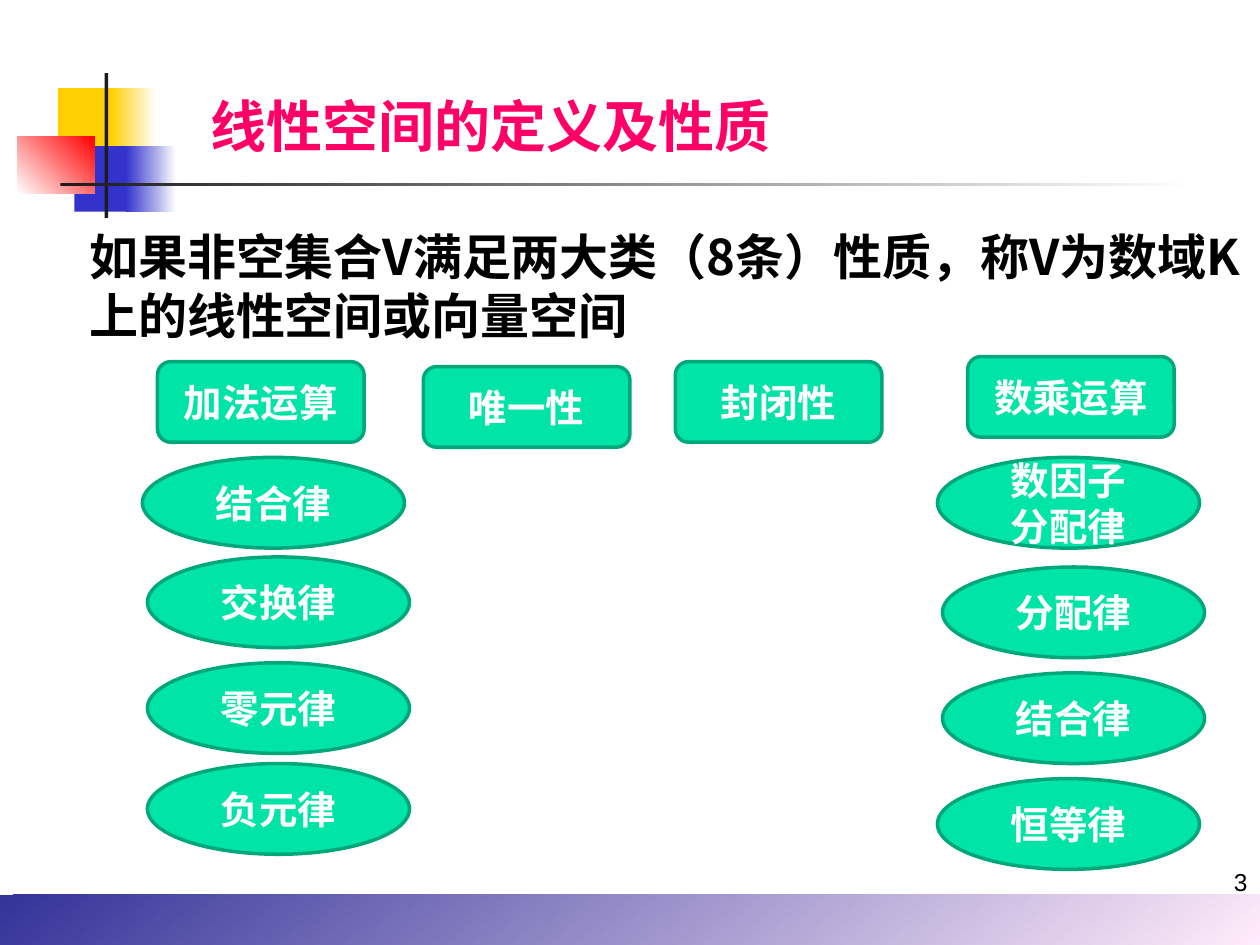
from lxml.etree import SubElement
from pptx import Presentation
from pptx.dml.color import RGBColor
from pptx.enum.shapes import MSO_SHAPE
from pptx.enum.text import MSO_ANCHOR, PP_ALIGN
from pptx.oxml.ns import qn
from pptx.util import Inches, Pt

COLORS = {
    "navy": "333399", "blush": "FFEBFA", "yellow": "FFCF01", "blue": "3333CC",
    "red": "FF0000", "ink": "1C1C1C", "white": "FFFFFF", "black": "000000",
    "pink": "FF0066", "mint": "00E4A8", "green": "00A77A",
}
CJK_FONT = "Noto Sans CJK SC"

DECORATIONS = [
    ((0, 7.1, 10, 0.4), ("navy", "blush"), 310),
    ((0.46, 0.7, 0.48, 0.52), ("yellow",), 0),
    ((0.88, 0.7, 0.36, 0.52), ("yellow", "white"), 0),
    ((0.59, 1.16, 0.46, 0.52), ("blue",), 0),
    ((1, 1.16, 0.4, 0.52), ("blue", "white"), 0),
    ((0.14, 1.08, 0.61, 0.46), ("white", "red"), 45),
    ((0.83, 0.58, 0.03, 1.15), ("ink",), 0),
    ((0.48, 1.45, 9, 0.03), ("ink", "white"), 0),
]

TEXTS = [
    ("3", (7.67, 6.83, 2.33, 0.52), PP_ALIGN.RIGHT, "black",
     {"size": Pt(14), "name": "Arial", "bold": False}),
    ("线性空间的定义及性质", (1.57, 0.68, 7.03, 0.64), PP_ALIGN.LEFT, "pink",
     {"size": Pt(32), "name": "Arial", "bold": True}),
    ("如果非空集合V满足两大类（8条）性质，称V为数域K上的线性空间或向量空间",
     (0.61, 1.75, 9.39, 1.04), PP_ALIGN.LEFT, "black",
     {"size": Pt(28), "name": CJK_FONT, "bold": True}),
]

HEADINGS = [
    ("加法运算", 1.25, 2.87),
    ("唯一性", 3.36, 2.91),
    ("封闭性", 5.36, 2.87),
    ("数乘运算", 7.68, 2.83),
]
LAWS = [
    ("结合律", 1.13, 3.63),
    ("交换律", 1.17, 4.42),
    ("零元律", 1.17, 5.26),
    ("负元律", 1.17, 6.06),
    ("数因子\n分配律", 7.44, 3.63),
    ("分配律", 7.48, 4.5),
    ("结合律", 7.48, 5.34),
    ("恒等律", 7.44, 6.18),
]
NODE_GROUPS = [
    (HEADINGS, MSO_SHAPE.ROUNDED_RECTANGLE, (1.64, 0.64)),
    (LAWS, MSO_SHAPE.OVAL, (2.08, 0.72)),
]
NODE_FONT = {"size": Pt(22), "name": "Arial", "bold": True}


def rgb(color):
    return RGBColor.from_string(COLORS[color])


def write(frame, text, align, color, font_values):
    frame.word_wrap = True
    frame.text = text
    for paragraph in frame.paragraphs:
        paragraph.alignment = align
        for run in paragraph.runs:
            for attribute, value in font_values.items():
                setattr(run.font, attribute, value)
            run.font.color.rgb = rgb(color)
            SubElement(run.font._element, qn("a:ea"), typeface=CJK_FONT)


def add_shape(slide, kind, box):
    shape = slide.shapes.add_shape(kind, *map(Inches, box))
    shape.shadow.inherit = False
    return shape


def add_decoration(slide, box, colors, angle):
    decoration = add_shape(slide, MSO_SHAPE.RECTANGLE, box)
    decoration.line.fill.background()
    fill = decoration.fill
    if len(colors) == 1:
        fill.solid()
        fill.fore_color.rgb = rgb(colors[0])
    else:
        fill.gradient()
        fill.gradient_angle = angle
        for stop, color, position in zip(fill.gradient_stops, colors, (0, 1)):
            stop.color.rgb = rgb(color)
            stop.position = position


def add_node(slide, kind, box, label):
    node = add_shape(slide, kind, box)
    node.fill.solid()
    node.fill.fore_color.rgb = rgb("mint")
    node.line.color.rgb = rgb("green")
    node.line.width = Pt(2)
    node.text_frame.vertical_anchor = MSO_ANCHOR.MIDDLE
    write(node.text_frame, label, PP_ALIGN.CENTER, "white", NODE_FONT)


def main():
    deck = Presentation()
    deck.slide_width, deck.slide_height = Inches(10), Inches(7.5)
    slide = deck.slides.add_slide(deck.slide_layouts[6])

    for box, colors, angle in DECORATIONS:
        add_decoration(slide, box, colors, angle)
    for text, box, align, color, font_values in TEXTS:
        frame = slide.shapes.add_textbox(*map(Inches, box)).text_frame
        write(frame, text, align, color, font_values)
    for nodes, kind, size in NODE_GROUPS:
        for label, left, top in nodes:
            add_node(slide, kind, (left, top, *size), label)

    deck.save("out.pptx")


if __name__ == "__main__":
    main()
